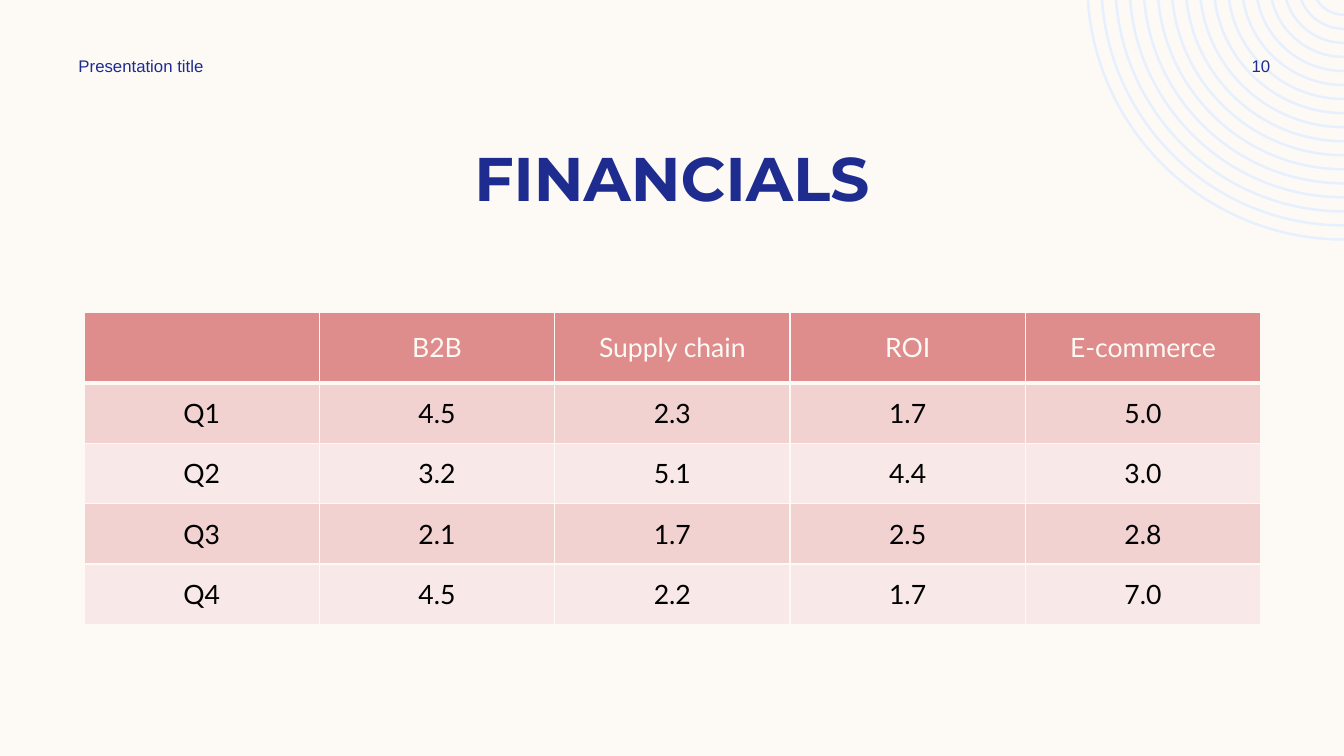
from math import asin, cos, pi, sin, tan

from lxml.etree import SubElement
from pptx import Presentation
from pptx.dml.color import RGBColor
from pptx.enum.text import MSO_ANCHOR as Anchor, PP_ALIGN as Align
from pptx.oxml.ns import qn
from pptx.util import Pt

CREAM = RGBColor(0xFD, 0xFA, 0xF6)
NAVY = RGBColor(0x1F, 0x2C, 0x8F)
BLACK = RGBColor(0, 0, 0)
PALE_BLUE = RGBColor(0xE6, 0xF0, 0xFE)
ROSE = RGBColor(0xDF, 0x8C, 0x8C)
BANDS = RGBColor(0xF2, 0xD1, 0xD1), RGBColor(0xF8, 0xE8, 0xE8)

WIDTH, HEIGHT = 960, 540

TEXTS = [
    ("FINANCIALS", (60, 95.8, 840, 60.5), "Montserrat", 44, True, Align.CENTER),
    ("Presentation title", (49, 36, 252, 21.6), "Arial", 12, False, Align.LEFT),
    ("10", (861.8, 36, 77.8, 21.6), "Arial", 12, False, Align.CENTER),
]

FINANCIALS = [
    ("", "B2B", "Supply chain", "ROI", "E-commerce"),
    ("Q1", "4.5", "2.3", "1.7", "5.0"),
    ("Q2", "3.2", "5.1", "4.4", "3.0"),
    ("Q3", "2.1", "1.7", "2.5", "2.8"),
    ("Q4", "4.5", "2.2", "1.7", "7.0"),
]
TABLE_LEFT, TABLE_TOP = 60, 222.8
COLUMN_WIDTH, HEADER_HEIGHT, ROW_HEIGHT = 168.1, 51, 43.05

RING_COUNT, RING_PITCH, RING_WIDTH = 17, 10.03, 1.8
OUTER_RADIUS, RING_CENTER_Y = 184.2, -12.2


def arc(radius):
    start = asin(-RING_CENTER_Y / radius)
    handle = radius * 4 / 3 * tan((pi / 2 - start) / 4)
    left, bottom = WIDTH - radius * cos(start), RING_CENTER_Y + radius
    points = [
        (left, 0),
        (left + handle * sin(start), handle * cos(start)),
        (WIDTH - handle, bottom),
        (WIDTH, bottom),
    ]
    return [(Pt(x), Pt(y)) for x, y in points]


def bend(lines):
    curve = lines[0]
    curve.tag = qn("a:cubicBezTo")
    for line in lines[1:]:
        curve.append(line[0])
        line.getparent().remove(line)


def add_rings(slide):
    rings = []
    for index in range(RING_COUNT):
        radius = OUTER_RADIUS - index * RING_PITCH
        rings.append(arc(radius) + arc(radius - RING_WIDTH)[::-1])
    builder = slide.shapes.build_freeform(*rings[0][0])
    for index, ring in enumerate(rings):
        if index:
            builder.move_to(*ring[0])
        builder.add_line_segments(ring[1:], close=True)
    shape = builder.convert_to_shape()
    lines = list(shape._element.iter(qn("a:lnTo")))
    for first in range(0, len(lines), 7):
        bend(lines[first:first + 3])
        bend(lines[first + 4:first + 7])
    shape.shadow.inherit = False
    shape.fill.solid()
    shape.fill.fore_color.rgb = PALE_BLUE
    shape.line.fill.background()


def write(paragraph, text, font_name, size, color, bold, align):
    paragraph.alignment = align
    run = paragraph.add_run()
    run.text = text
    run.font.name = font_name
    run.font.size = Pt(size)
    run.font.bold = bold
    run.font.color.rgb = color


def add_text(slide, text, box, font_name, size, bold, align):
    frame = slide.shapes.add_textbox(*map(Pt, box)).text_frame
    frame.word_wrap = True
    frame.vertical_anchor = Anchor.MIDDLE
    write(frame.paragraphs[0], text, font_name, size, NAVY, bold, align)


def set_borders(cell, top, bottom):
    properties = cell._tc.get_or_add_tcPr()
    for side, width in (("L", 1), ("R", 1), ("T", top), ("B", bottom)):
        line = SubElement(properties, qn(f"a:ln{side}"), w=str(Pt(width)))
        fill = SubElement(line, qn("a:solidFill"))
        SubElement(fill, qn("a:srgbClr"), val=str(CREAM))


def add_financials(slide):
    row_count, column_count = len(FINANCIALS), len(FINANCIALS[0])
    heights = [HEADER_HEIGHT] + [ROW_HEIGHT] * (row_count - 1)
    table = slide.shapes.add_table(
        row_count, column_count, Pt(TABLE_LEFT), Pt(TABLE_TOP),
        Pt(COLUMN_WIDTH * column_count), Pt(sum(heights))).table
    for column in table.columns:
        column.width = Pt(COLUMN_WIDTH)
    for index, values in enumerate(FINANCIALS):
        table.rows[index].height = Pt(heights[index])
        header = index == 0
        for column, value in enumerate(values):
            cell = table.cell(index, column)
            set_borders(cell, 3 if index == 1 else 1, 3 if header else 1)
            cell.fill.solid()
            cell.fill.fore_color.rgb = ROSE if header else BANDS[(index - 1) % 2]
            cell.vertical_anchor = Anchor.MIDDLE
            cell.margin_left = cell.margin_right = Pt(7.6)
            cell.margin_top = cell.margin_bottom = Pt(3.8)
            if value:
                write(cell.text_frame.paragraphs[0], value, "Lato", 19,
                      CREAM if header else BLACK, False, Align.CENTER)


def main():
    presentation = Presentation()
    presentation.slide_width, presentation.slide_height = Pt(WIDTH), Pt(HEIGHT)
    slide = presentation.slides.add_slide(presentation.slide_layouts[6])
    slide.background.fill.solid()
    slide.background.fill.fore_color.rgb = CREAM
    add_rings(slide)
    add_financials(slide)
    for text in TEXTS:
        add_text(slide, *text)
    presentation.save("out.pptx")


if __name__ == "__main__":
    main()
